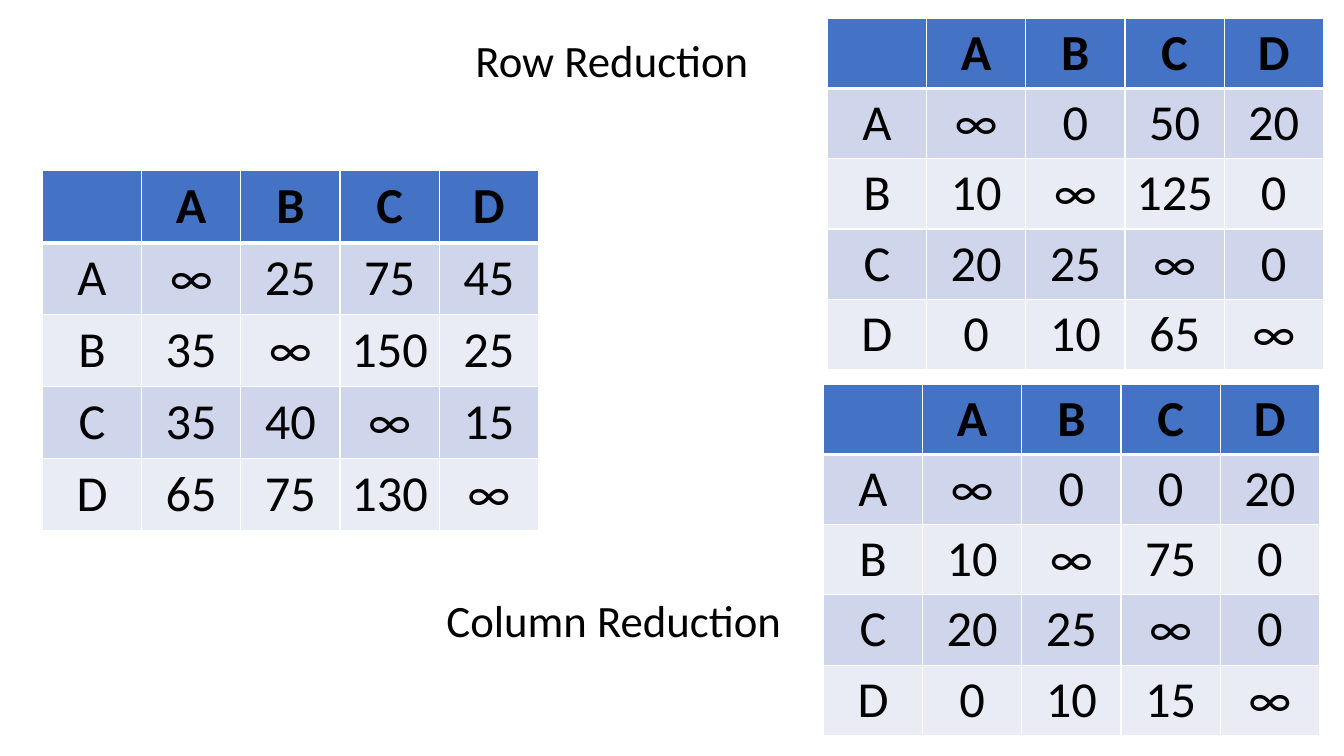
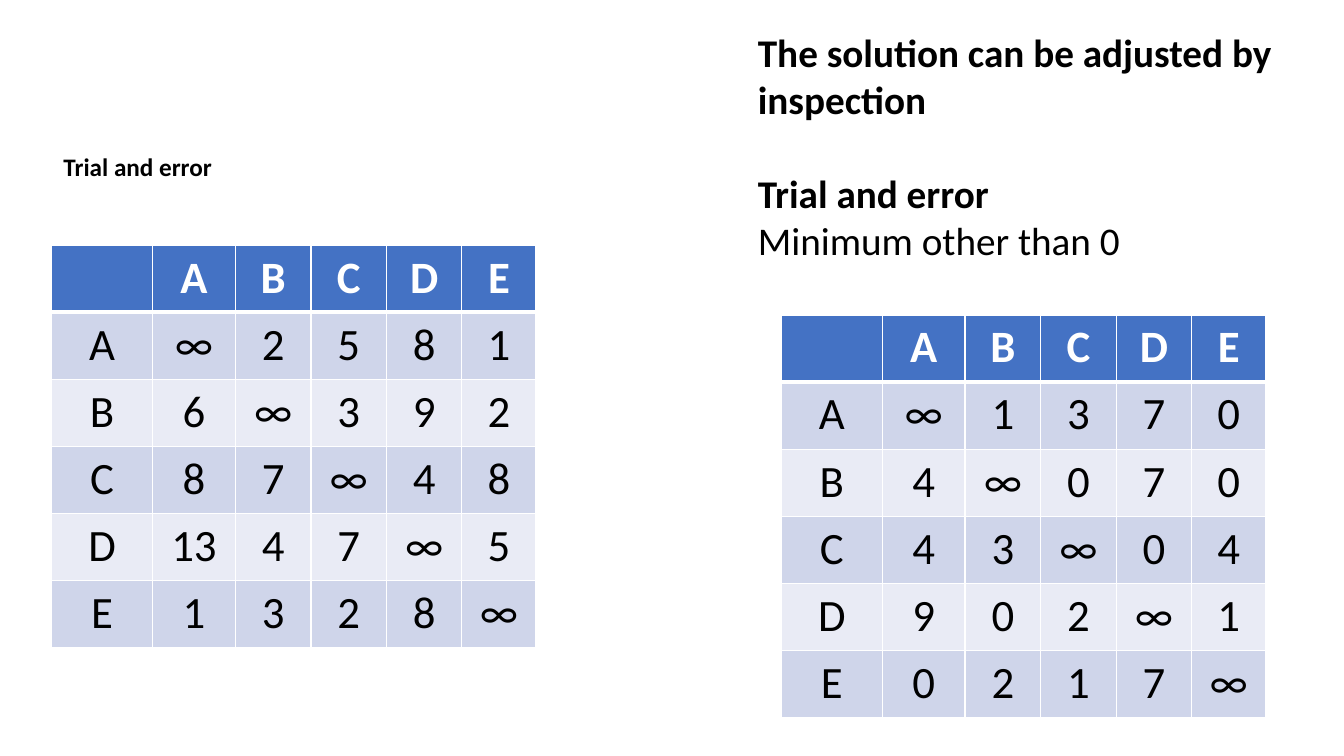
from lxml.etree import SubElement
from pptx import Presentation
from pptx.dml.color import RGBColor
from pptx.enum.text import MSO_AUTO_SIZE as AutoSize, PP_ALIGN as Align
from pptx.oxml.ns import qn
from pptx.util import Cm, Pt

COLORS = {
    "header": "4472C4",
    "odd_row": "CFD5EA",
    "even_row": "E9EBF5",
    "rule": "FFFFFF",
    "light_text": "FFFFFF",
    "dark_text": "000000",
}
FONT = "Calibri"
LABELS = "ABCDE"
THIN, THICK = 1, 3

# Table formats, one for each size of matrix
REDUCTION_TABLE = {
    "columns": [2.5] * 5, "row": 1.77, "margin": 0.1,
    "size": 36, "header_color": "dark_text",
}
COST_TABLE = {**REDUCTION_TABLE, "row": 1.8, "margin": 0.13}
TRIAL_TABLE = {
    "columns": [2.55, 2.08, 1.91, 1.9, 1.9, 1.87], "row": 1.69, "margin": 0.13,
    "size": 32, "header_color": "light_text",
}


def color(name):
    return RGBColor.from_string(COLORS[name])


def add_run(paragraph, text, size, bold=False, color_name="dark_text"):
    run = paragraph.add_run()
    run.text = text
    for name, value in {"name": FONT, "size": Pt(size), "bold": bold}.items():
        setattr(run.font, name, value)
    run.font.color.rgb = color(color_name)


def add_text(slide, box, lines, size):
    """Place lines of (text, bold, points before) in a box."""
    frame = slide.shapes.add_textbox(*map(Cm, box)).text_frame
    frame.word_wrap = True
    frame.auto_size = AutoSize.SHAPE_TO_FIT_TEXT
    for index, (text, bold, before) in enumerate(lines):
        paragraph = frame.add_paragraph() if index else frame.paragraphs[0]
        if before:
            paragraph.space_before = Pt(before)
        add_run(paragraph, text, size, bold)


def set_borders(cell, widths):
    properties = cell._tc.get_or_add_tcPr()
    for side, width in widths.items():
        line = SubElement(properties, qn(f"a:ln{side}"), w=str(Pt(width)))
        fill = SubElement(line, qn("a:solidFill"))
        SubElement(fill, qn("a:srgbClr"), val=COLORS["rule"])


def add_matrix(slide, left, top, rows, style):
    """Place a square matrix with lettered row and column heads."""
    labels = LABELS[:len(rows)]
    grid = [["", *labels]]
    grid += [[label, *row.split()] for label, row in zip(labels, rows)]
    widths = style["columns"]
    table = slide.shapes.add_table(
        len(grid), len(widths), Cm(left), Cm(top),
        Cm(sum(widths)), Cm(style["row"] * len(grid)),
    ).table
    for column, width in zip(table.columns, widths):
        column.width = Cm(width)

    for row_index, values in enumerate(grid):
        table.rows[row_index].height = Cm(style["row"])
        is_header = row_index == 0
        fill_name = "header" if is_header else ("even_row", "odd_row")[row_index % 2]
        text_name = style["header_color"] if is_header else "dark_text"
        borders = {
            "L": THIN, "R": THIN,
            "T": THICK if row_index == 1 else THIN,
            "B": THICK if is_header else THIN,
        }
        for column_index, text in enumerate(values):
            cell = table.cell(row_index, column_index)
            set_borders(cell, borders)
            cell.fill.solid()
            cell.fill.fore_color.rgb = color(fill_name)
            cell.margin_top = cell.margin_bottom = Cm(style["margin"])
            paragraph = cell.text_frame.paragraphs[0]
            paragraph.alignment = Align.CENTER
            if text:
                add_run(paragraph, text, style["size"], is_header, text_name)


def add_reduction_slide(slide):
    # Cost matrix
    add_matrix(slide, 1.07, 4.3,
               ["∞ 25 75 45", "35 ∞ 150 25", "35 40 ∞ 15", "65 75 130 ∞"], COST_TABLE)
    # Row reduction
    add_text(slide, (11.73, 0.71, 7.62, 1.63), [("Row Reduction", False, 0)], 32)
    add_matrix(slide, 20.85, 0.46,
               ["∞ 0 50 20", "10 ∞ 125 0", "20 25 ∞ 0", "0 10 65 ∞"], REDUCTION_TABLE)
    # Column reduction
    add_text(slide, (11, 14.81, 9.07, 1.63), [("Column Reduction", False, 0)], 32)
    add_matrix(slide, 20.75, 9.68,
               ["∞ 0 0 20", "10 ∞ 75 0", "20 25 ∞ 0", "0 10 15 ∞"], REDUCTION_TABLE)


def add_trial_slide(slide):
    # Cost matrix
    add_matrix(slide, 1.3, 6.18,
               ["∞ 2 5 8 1", "6 ∞ 3 9 2", "8 7 ∞ 4 8", "13 4 7 ∞ 5", "1 3 2 8 ∞"],
               TRIAL_TABLE)
    # Reduced matrix
    add_matrix(slide, 19.69, 7.94,
               ["∞ 1 3 7 0", "4 ∞ 0 7 0", "4 3 ∞ 0 4", "9 0 2 ∞ 1", "0 2 1 7 ∞"],
               TRIAL_TABLE)
    # Explanation and caption
    add_text(slide, (18.85, 0.58, 13.82, 6.25), [
        ("The solution can be adjusted by inspection", True, 0),
        ("Trial and error", True, 34),
        ("Minimum other than 0", False, 0),
    ], 28)
    add_text(slide, (1.35, 3.68, 7.62, 1.02), [("Trial and error", True, 0)], 18)


def main():
    presentation = Presentation()
    presentation.slide_width = Cm(33.87)
    presentation.slide_height = Cm(19.05)
    blank = presentation.slide_layouts[6]
    for build in (add_reduction_slide, add_trial_slide):
        build(presentation.slides.add_slide(blank))
    presentation.save("out.pptx")


if __name__ == "__main__":
    main()
